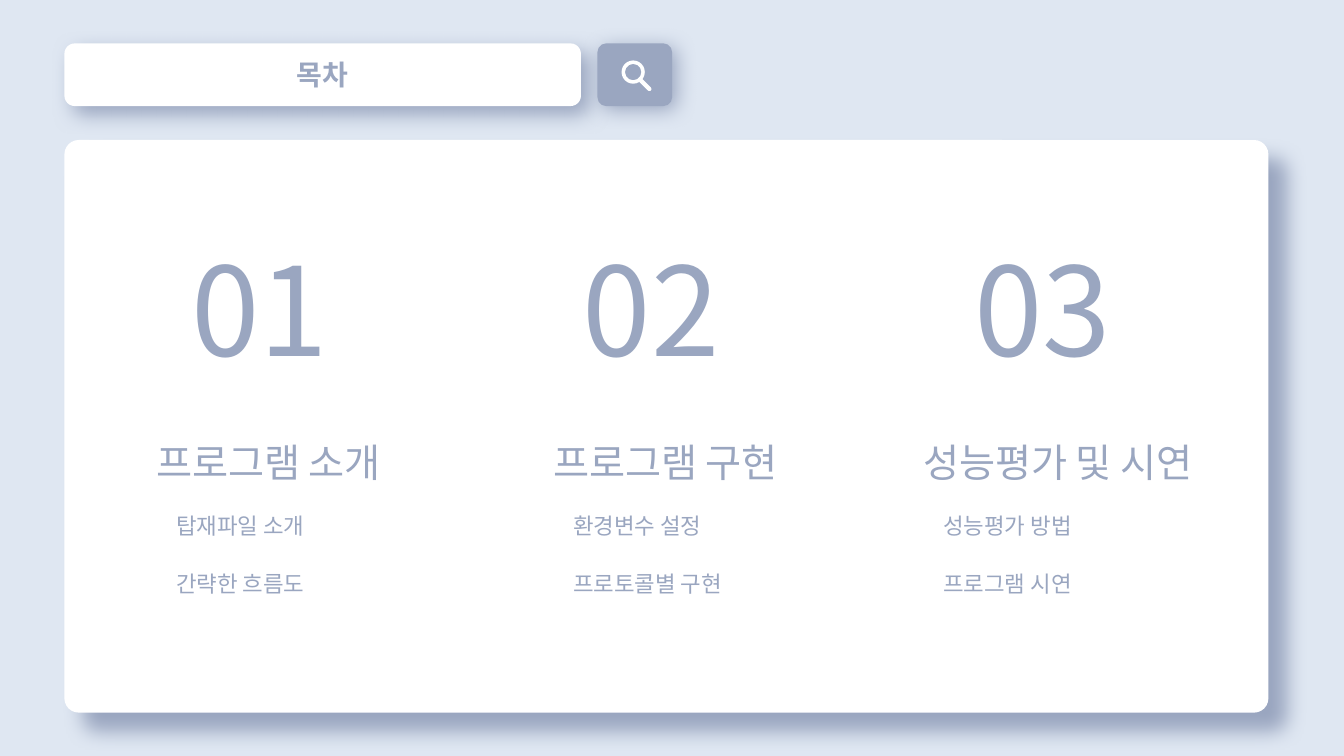
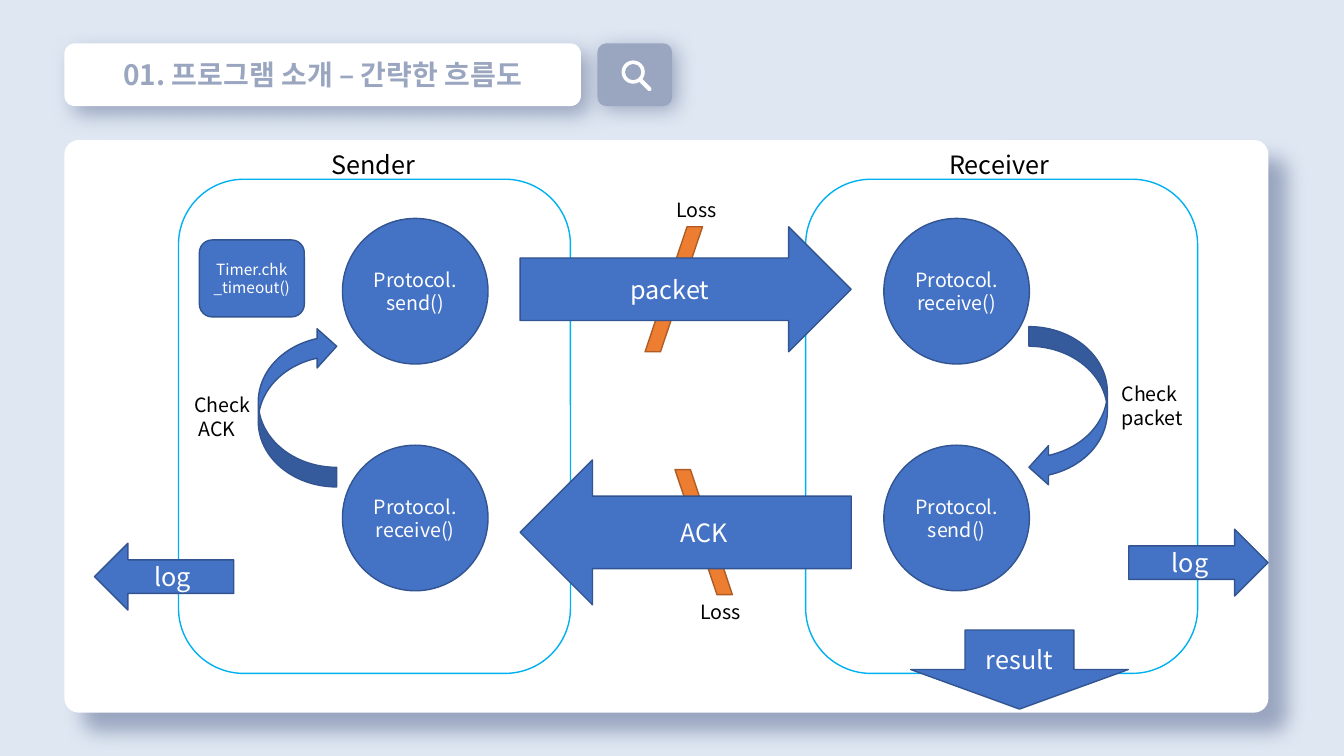
import pptx
import pptx.dml.color
import pptx.enum.shapes
import pptx.enum.text
import pptx.oxml
import pptx.oxml.ns
import pptx.util

Pt = pptx.util.Pt
RGBColor = pptx.dml.color.RGBColor
SHAPE = pptx.enum.shapes.MSO_SHAPE
ALIGN = pptx.enum.text.PP_ALIGN
qn = pptx.oxml.ns.qn

FONT = "Noto Sans CJK KR"
PALE_BLUE = RGBColor(0xDF, 0xE7, 0xF2)
SLATE = RGBColor(0x9A, 0xA6, 0xC0)
WHITE = RGBColor(0xFF, 0xFF, 0xFF)
BLACK = RGBColor(0x00, 0x00, 0x00)
BLUE = RGBColor(0x44, 0x72, 0xC4)
DARK_BLUE = RGBColor(0x32, 0x54, 0x91)
SKY_BLUE = RGBColor(0x00, 0xB0, 0xF0)
ORANGE = RGBColor(0xED, 0x7D, 0x31)
DARK_ORANGE = RGBColor(0xAF, 0x5C, 0x24)


def write(paragraph, text, size, color, bold=False):
    run = paragraph.add_run()
    run.text = text
    run.font.size = Pt(size)
    run.font.bold = bold
    run.font.color.rgb = color
    run.font.name = FONT
    east_asian = pptx.oxml.parse_xml(
        f'<a:ea {pptx.oxml.ns.nsdecls("a")} typeface="{FONT}"/>')
    run.font.element.append(east_asian) if hasattr(run.font, "element") else \
        run._r.get_or_add_rPr().append(east_asian)


def add_label(slide, text, box, size, color=BLACK, hanging=0):
    """Add a plain text box; hanging indents every line after the first."""
    label = slide.shapes.add_textbox(*map(Pt, box))
    frame = label.text_frame
    frame.word_wrap = True
    frame.auto_size = pptx.enum.text.MSO_AUTO_SIZE.SHAPE_TO_FIT_TEXT
    paragraph = frame.paragraphs[0]
    if hanging:
        properties = paragraph._p.get_or_add_pPr()
        properties.set("marL", str(Pt(hanging)))
        properties.set("indent", str(-Pt(hanging)))
    write(paragraph, text, size, color)


def add_shape(slide, kind, box, fill=None, line=None, adjustment=None, rotation=0):
    shape = slide.shapes.add_shape(kind, *map(Pt, box))
    shape.shadow.inherit = False
    if fill is None:
        shape.fill.background()
    else:
        shape.fill.solid()
        shape.fill.fore_color.rgb = fill
    if line is None:
        shape.line.fill.background()
    else:
        shape.line.color.rgb = line
        shape.line.width = Pt(1)
    if adjustment is not None:
        shape.adjustments[0] = adjustment
    shape.rotation = rotation
    return shape


def add_shadow(shape, distance):
    effects = shape._element.spPr.find(qn("a:effectLst"))
    effects.append(pptx.oxml.parse_xml(
        f'<a:outerShdw {pptx.oxml.ns.nsdecls("a")} blurRad="{Pt(15)}" '
        f'dist="{Pt(distance)}" dir="2700000" algn="tl" rotWithShape="0">'
        f'<a:srgbClr val="{SLATE}"/></a:outerShdw>'))


def write_inside(shape, text, size, color=WHITE, bold=False):
    frame = shape.text_frame
    frame.word_wrap = True
    frame.vertical_anchor = pptx.enum.text.MSO_ANCHOR.MIDDLE
    paragraph = frame.paragraphs[0]
    paragraph.alignment = ALIGN.CENTER
    write(paragraph, text, size, color, bold)


def add_block(slide, kind, box, text=None, size=18, rotation=0):
    """Add a blue diagram shape with an optional caption."""
    block = add_shape(slide, kind, box, BLUE, DARK_BLUE, rotation=rotation)
    if text:
        write_inside(block, text, size)


def add_loss_bar(slide, left, top, mirrored=False):
    bar = add_shape(slide, SHAPE.PARALLELOGRAM, (left, top, 41, 89.3),
                    ORANGE, DARK_ORANGE, 0.731)
    if mirrored:
        bar._element.spPr.find(qn("a:xfrm")).set("flipH", "1")


def add_framed_slide(presentation, title):
    """Add a slide with the title bar, search button and white panel."""
    slide = presentation.slides.add_slide(presentation.slide_layouts[6])
    slide.background.fill.solid()
    slide.background.fill.fore_color.rgb = PALE_BLUE

    rounded = SHAPE.ROUNDED_RECTANGLE
    title_bar = add_shape(slide, rounded, (46, 31, 369, 44.8), WHITE)
    add_shadow(title_bar, 8)
    write_inside(title_bar, title, 20, SLATE, bold=True)

    button = add_shape(slide, rounded, (426.8, 31, 53.3, 44.8), SLATE, adjustment=0.138)
    add_shadow(button, 4)
    add_shape(slide, SHAPE.DONUT, (444, 43.2, 16.6, 16.6), WHITE, adjustment=0.148)
    add_shape(slide, rounded, (459.4, 54.8, 2.9, 11.5), WHITE, adjustment=0.5, rotation=315)

    panel = add_shape(slide, rounded, (46, 100, 860, 409), WHITE, adjustment=0.025)
    add_shadow(panel, 19)
    return slide


def build_contents(presentation):
    slide = add_framed_slide(presentation, "목차")
    sections = [
        (104.4, 177, "프로그램 소개", ("탑재파일 소개", "간략한 흐름도")),
        (388, 177, "프로그램 구현", ("환경변수 설정", "프로토콜별 구현")),
        (652.3, 212, "성능평가 및 시연", ("성능평가 방법", "프로그램 시연")),
    ]
    for index, (left, width, heading, items) in enumerate(sections):
        add_label(slide, f"{index + 1:02}", (129.6 + 279.7 * index, 163.4, 125.3, 113.8),
                  88, SLATE)
        add_label(slide, heading, (left, 309.4, width, 41), 28, SLATE)
        for row, item in enumerate(items):
            add_label(slide, item, (left + 14.4, 362 + 42 * row, width, 26.6), 16, SLATE)


def build_flow(presentation):
    slide = add_framed_slide(presentation, "01. 프로그램 소개 – 간략한 흐름도")
    for left in (127.5, 575.5):
        add_shape(slide, SHAPE.ROUNDED_RECTANGLE, (left, 128, 280, 353), line=SKY_BLUE)
    add_label(slide, "Sender", (229.7, 103, 77, 29), 18)
    add_label(slide, "Receiver", (671, 103, 89.3, 29), 18)

    for left, calls in ((244.6, ("send", "receive")), (631.3, ("receive", "send"))):
        for row, call in enumerate(calls):
            add_block(slide, SHAPE.OVAL, (left, 156 + 162 * row, 104, 104),
                      f"Protocol.{call}()", 14)
    for left, rotation in ((735, 0), (184.5, 180)):
        add_block(slide, SHAPE.CURVED_LEFT_ARROW, (left, 233.3, 56, 114.5),
                  rotation=rotation)

    add_loss_bar(slide, 460.8, 162)
    add_block(slide, SHAPE.RIGHT_ARROW, (371.5, 162, 236.5, 89.3), "packet")
    add_loss_bar(slide, 482.2, 335.5, mirrored=True)
    add_block(slide, SHAPE.LEFT_ARROW, (371.5, 328.5, 236.5, 103.5), "ACK")
    for left, top in ((476, 137.5), (493, 424.8)):
        add_label(slide, "Loss", (left, top, 46.8, 24.5), 14)

    add_block(slide, SHAPE.ROUNDED_RECTANGLE, (142.4, 171.4, 75, 55),
              "Timer.chk_timeout()", 11)
    add_label(slide, "Check packet", (794, 269.3, 62.6, 41), 14)
    add_label(slide, "Check ACK", (131.6, 277.2, 62.6, 41), 14, hanging=3)

    add_block(slide, SHAPE.LEFT_ARROW, (67.5, 388, 99.5, 47.8), "log")
    add_block(slide, SHAPE.RIGHT_ARROW, (806.3, 378, 99.5, 47.8), "log")
    add_block(slide, SHAPE.DOWN_ARROW, (650.5, 450, 155.5, 56.5), "result")


def main():
    presentation = pptx.Presentation()
    presentation.slide_width = Pt(960)
    presentation.slide_height = Pt(540)
    build_contents(presentation)
    build_flow(presentation)
    presentation.save("out.pptx")


if __name__ == "__main__":
    main()
